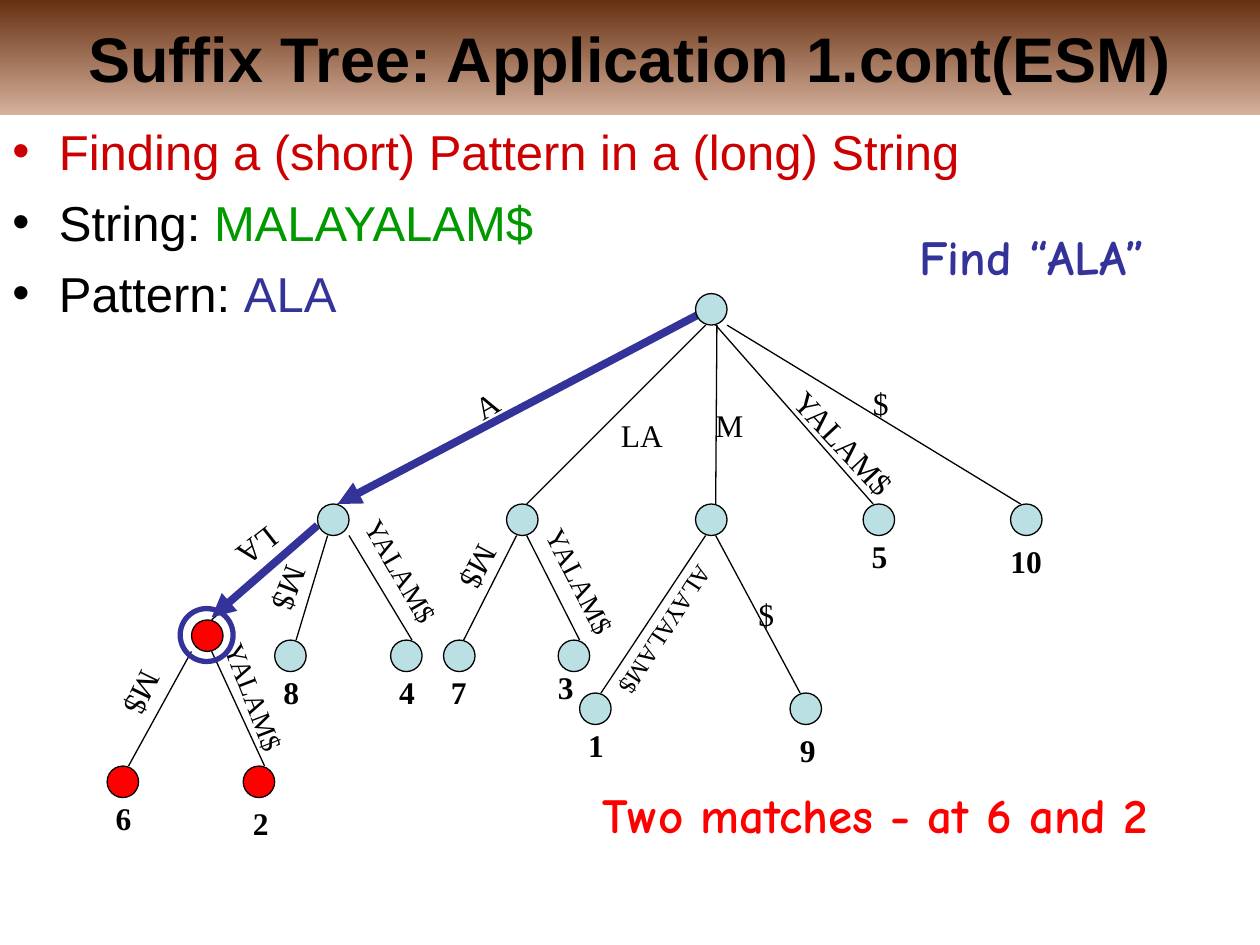
import pptx
import pptx.dml.color
import pptx.enum.shapes
import pptx.enum.text
import pptx.oxml
import pptx.oxml.ns
import pptx.util

COLORS = {
    "black": "000000", "brown": "663012", "tan": "D6B19C", "crimson": "CC0000",
    "green": "009900", "indigo": "333399", "pale": "BBE0E3", "red": "FF0000",
}
COLUMNS, ROWS = 100, 75
NODE = 2.5
SLACK = 0.2
TITLE_HEIGHT = 9.15

INNER_NODES = [(55.2, 40), (40.2, 40), (25.2, 40)]
LEAVES = [
    (80.2, 40), (68.5, 40), (31, 50.8), (21.8, 50.8),
    (44.3, 50.8), (35.2, 50.8), (62.7, 55), (46, 55),
]
MATCHES = [(8.5, 60.8), (19.3, 60.8), (15.2, 49.2)]
ROOT = (55.2, 23.3)

EDGES = [
    (81, 40, 57.7, 25.8), (56.8, 40, 56.9, 25.8), (56.8, 25.8, 69.3, 40),
    (56, 25.8, 41.8, 40), (55.2, 25, 26.8, 40), (25.2, 41.7, 16.8, 49.2),
    (56, 42.5, 47.7, 55), (56.8, 42.5, 63.5, 55), (41, 42.5, 36.8, 50.8),
    (41.8, 42.5, 46, 50.8), (27.7, 42.5, 32.7, 50.8), (26, 42.5, 23.5, 50.8),
    (15.2, 51.7, 10.2, 60.8), (16.8, 51.7, 21, 60.8),
]
SEARCH_PATH = [(56.9, 24.2, 26.8, 40), (25.2, 41.7, 16.8, 49)]

EDGE_LABELS = [
    ("$", 68.5, 30, 3.5, 0, 18), ("YALAM$", 61, 33.4, 12.4, 47, 18),
    ("M", 56, 31.7, 4.2, 0, 18), ("$", 59.4, 46.7, 3.2, 0, 18),
    ("ALAYALAM$", 45.6, 48.7, 14.1, 123, 14), ("M$", 35.3, 43.2, 5.4, 118, 18),
    ("YALAM$", 40.6, 44.6, 11.2, 63, 16), ("M$", 20.3, 44.9, 5.4, 111, 18),
    ("YALAM$", 26.4, 43.8, 11.2, 60, 16), ("M$", 8.6, 53.2, 5.4, 116, 18),
    ("YALAM$", 14.7, 53.8, 11.2, 69, 16), ("A", 36.9, 30, 3.8, 330, 18),
    ("LA", 17.7, 41.6, 5.3, 142, 18), ("LA", 48.5, 32.5, 5.3, 0, 18),
]
LEAF_NUMBERS = [
    ("6", 8.4, 62.9, 3.2), ("2", 19.3, 63.3, 3.2), ("8", 21.7, 52.9, 3.2),
    ("4", 30.9, 52.9, 3.2), ("7", 35, 52.9, 3.2), ("3", 43.5, 52.5, 3.2),
    ("1", 45.9, 57.1, 3.2), ("9", 62.7, 57.5, 3.2), ("5", 68.4, 42.1, 3.2),
    ("10", 79.4, 42.5, 4.5),
]
BULLETS = [
    [("Finding a (short) Pattern in a (long) String", "crimson")],
    [("String: ", "black"), ("MALAYALAM$", "green")],
    [("Pattern: ", "black"), ("ALA", "indigo")],
]


def rgb(name):
    return pptx.dml.color.RGBColor.from_string(COLORS[name])


def add_xml(parent, tag, **attributes):
    element = pptx.oxml.parse_xml(f"<a:{tag} {pptx.oxml.ns.nsdecls('a')}/>")
    for key, value in attributes.items():
        element.set(key, value)
    parent.append(element)
    return element


class TreeSlide:
    def __init__(self, prs):
        self.column = prs.slide_width / COLUMNS
        self.row = prs.slide_height / ROWS
        self.slide = prs.slides.add_slide(prs.slide_layouts[5])
        self.shapes = self.slide.shapes

    def place(self, x, y, w, h):
        return (round(x * self.column), round(y * self.row),
                round(w * self.column), round(h * self.row))

    def style(self, font, size, name, color=None, bold=False):
        font.size = pptx.util.Pt(size)
        font.name = name
        font.bold = bold
        if color:
            font.color.rgb = rgb(color)

    def title(self, text, height):
        sp = self.shapes.title
        sp.left, sp.top, sp.width, sp.height = self.place(0, 0, COLUMNS, height)
        sp.fill.gradient()
        sp.fill.gradient_angle = 270
        for stop, color, position in zip(sp.fill.gradient_stops, ("brown", "tan"), (0, 1)):
            stop.color.rgb = rgb(color)
            stop.position = position
        tf = sp.text_frame
        tf.text = text
        tf.vertical_anchor = pptx.enum.text.MSO_ANCHOR.MIDDLE
        p = tf.paragraphs[0]
        p.alignment = pptx.enum.text.PP_ALIGN.CENTER
        self.style(p.font, 36, "Arial", "black", True)

    def bullets(self, items, top):
        tf = self.shapes.add_textbox(*self.place(0, top, COLUMNS, ROWS - top)).text_frame
        tf.word_wrap = True
        indent = pptx.util.Inches(0.37)
        for i, runs in enumerate(items):
            p = tf.add_paragraph() if i else tf.paragraphs[0]
            p.space_before = pptx.util.Pt(7 if i else 0)
            pPr = p._p.get_or_add_pPr()
            pPr.set("marL", str(indent))
            pPr.set("indent", str(-indent))
            add_xml(add_xml(pPr, "buClr"), "srgbClr", val=COLORS[runs[0][1]])
            add_xml(pPr, "buFont", typeface="Arial")
            add_xml(pPr, "buChar", char="•")
            self.style(p.font, 28, "Arial")
            for text, color in runs:
                r = p.add_run()
                r.text = text
                r.font.color.rgb = rgb(color)

    def label(self, text, x, y, w, rotation=0, size=18,
              name="Times New Roman", color="black", bold=False):
        sp = self.shapes.add_textbox(
            *self.place(x - SLACK, y, w + 2 * SLACK, 1 + size / 6))
        sp.rotation = rotation
        tf = sp.text_frame
        tf.word_wrap = False
        tf.auto_size = pptx.enum.text.MSO_AUTO_SIZE.SHAPE_TO_FIT_TEXT
        tf.text = text
        self.style(tf.paragraphs[0].font, size, name, color, bold)

    def circle(self, x, y, fill=None, size=NODE, line="black", weight=0.75):
        sp = self.shapes.add_shape(pptx.enum.shapes.MSO_SHAPE.OVAL, *self.place(x, y, size, size))
        sp.shadow.inherit = False
        if fill:
            sp.fill.solid()
            sp.fill.fore_color.rgb = rgb(fill)
        else:
            sp.fill.background()
        sp.line.color.rgb = rgb(line)
        sp.line.width = pptx.util.Pt(weight)

    def edge(self, x1, y1, x2, y2, color="black", weight=0.75, arrow=False):
        cxn = self.shapes.add_connector(
            pptx.enum.shapes.MSO_CONNECTOR.STRAIGHT,
            *self.place(x1, y1, x2, y2))
        cxn.line.color.rgb = rgb(color)
        cxn.line.width = pptx.util.Pt(weight)
        if arrow:
            add_xml(cxn.line._get_or_add_ln(), "tailEnd", type="triangle")
        add_xml(cxn._element.spPr, "effectLst")


def main():
    prs = pptx.Presentation()
    prs.slide_width = pptx.util.Inches(10)
    prs.slide_height = pptx.util.Inches(7.5)
    s = TreeSlide(prs)
    s.title("Suffix Tree: Application 1.cont(ESM)", TITLE_HEIGHT)
    s.bullets(BULLETS, TITLE_HEIGHT)
    s.label("Find “ALA”", 72.2, 17.5, 20.2, 0, 28, "Comic Neue", "indigo", True)
    for node in INNER_NODES + LEAVES:
        s.circle(*node, "pale")
    for edge in EDGES:
        s.edge(*edge)
    for label in EDGE_LABELS:
        s.label(*label)
    for number in LEAF_NUMBERS:
        s.label(*number, bold=True)
    for step in SEARCH_PATH:
        s.edge(*step, "indigo", 4.5, True)
    s.label("Two matches - at 6 and 2", 47, 61.8, 45.4, 0, 28, "Comic Neue", "red", True)
    for node in MATCHES:
        s.circle(*node, "red")
    s.circle(*ROOT, "pale")
    s.circle(14.3, 48.3, size=4.2, line="indigo", weight=3)
    prs.save("out.pptx")


if __name__ == "__main__":
    main()
